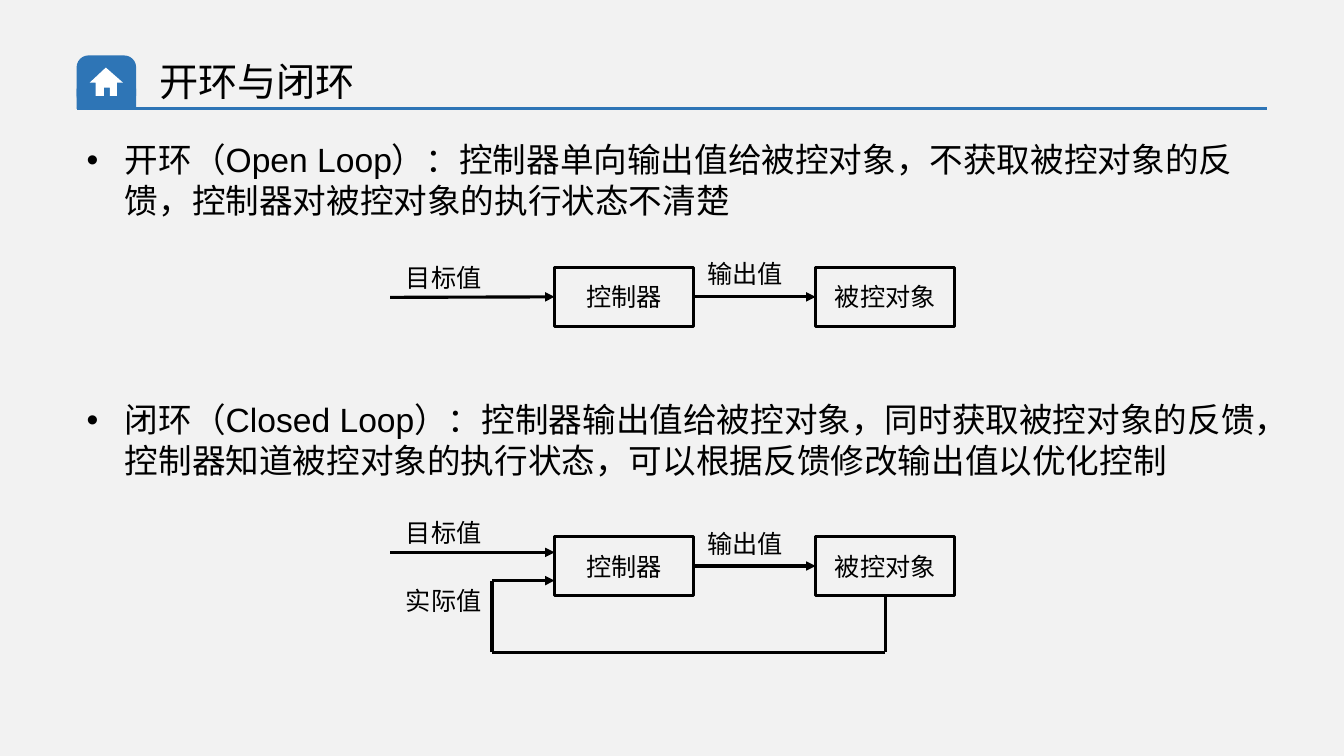
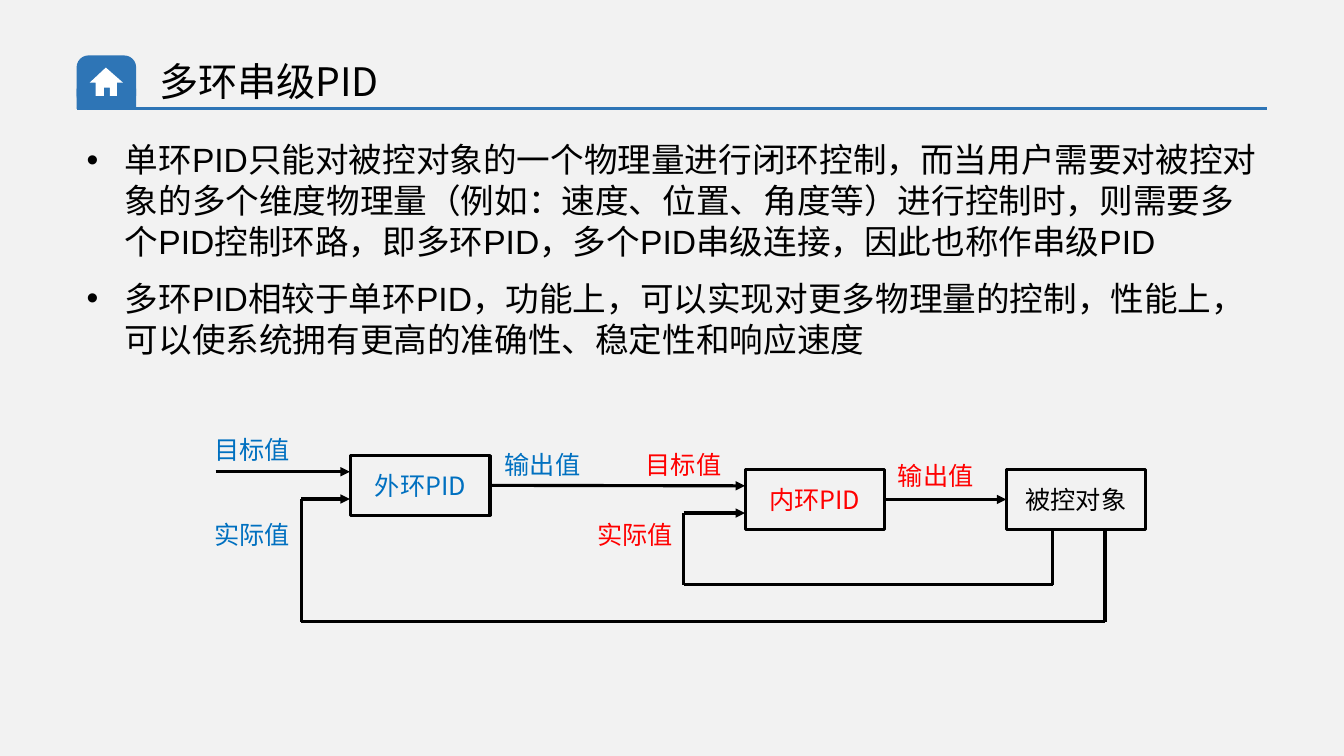
from lxml.etree import SubElement
from pptx import Presentation
from pptx.dml.color import RGBColor
from pptx.enum.shapes import MSO_CONNECTOR, MSO_SHAPE
from pptx.enum.text import MSO_ANCHOR, PP_ALIGN
from pptx.oxml.ns import qn
from pptx.util import Inches, Pt

PAPER = RGBColor(0xF2, 0xF2, 0xF2)
BAND = RGBColor(0x2E, 0x75, 0xB6)
WHITE = RGBColor(0xFF, 0xFF, 0xFF)
BLACK = RGBColor(0, 0, 0)
RED = RGBColor(0xFF, 0, 0)
BLUE = RGBColor(0, 0x70, 0xC0)

LATIN, HAN = "Arial", "Noto Sans CJK SC"
LEFT, WIDTH = 0.76, 11.81
BOX_W, BOX_H = 1.38, 0.59
TAG_W, TAG_H = 1.06, 0.4
RULE_Y, TAB_W = 1.08, 0.59
TOP, SIDE, BOTTOM, RIGHT = range(4)
HOUSE = [(1.16, 0.82), (1.22, 0.82), (1.05, 0.67), (0.89, 0.82),
         (0.95, 0.82), (0.95, 0.95), (1.03, 0.95), (1.03, 0.87),
         (1.09, 0.87), (1.09, 0.95), (1.16, 0.95)]


def pair(y):
    return {"ctrl": ("控制器", 5.5, y, BLACK),
            "plant": ("被控对象", 8.09, y, BLACK)}


# Bullets: top, height, paragraphs
# Boxes: text, left, top, colour; tags: text, left, top, colour
# Wires: points or (box, side) ports, with an arrow or not at the end
SLIDES = [
    {
        "title": "开环与闭环",
        "bullets": [
            (1.33, 0.91, ["开环（Open Loop）：控制器单向输出值给被控对象，不获取被控对象的反馈，控制器对被控对象的执行状态不清楚"]),
            (3.91, 0.91, ["闭环（Closed Loop）：控制器输出值给被控对象，同时获取被控对象的反馈，控制器知道被控对象的执行状态，可以根据反馈修改输出值以优化控制"]),
        ],
        "charts": [
            {
                "boxes": pair(2.65),
                "tags": [("输出值", 6.86, 2.51, BLACK),
                         ("目标值", 3.87, 2.55, BLACK)],
                "wires": [[(3.87, 2.95), ("ctrl", SIDE)],
                          [("ctrl", RIGHT), ("plant", SIDE)]],
            },
            {
                "boxes": pair(5.32),
                "tags": [("输出值", 6.86, 5.19, BLACK),
                         ("目标值", 3.87, 5.08, BLACK),
                         ("实际值", 3.87, 5.76, BLACK)],
                "wires": [[(3.87, 5.48), (5.5, 5.48)],
                          [("ctrl", RIGHT), ("plant", SIDE)],
                          [("plant", BOTTOM), (8.78, 6.47), (4.88, 6.47),
                           (4.88, 5.76), (5.5, 5.76)]],
            },
        ],
    },
    {
        "title": "多环串级PID",
        "bullets": [
            (1.33, 2.29, [
                "单环PID只能对被控对象的一个物理量进行闭环控制，而当用户需要对被控对象的多个维度物理量（例如：速度、位置、角度等）进行控制时，则需要多个PID控制环路，即多环PID，多个PID串级连接，因此也称作串级PID",
                "多环PID相较于单环PID，功能上，可以实现对更多物理量的控制，性能上，可以使系统拥有更高的准确性、稳定性和响应速度",
            ]),
        ],
        "charts": [
            {
                "boxes": {"outer": ("外环PID", 3.48, 4.52, BLUE),
                          "inner": ("内环PID", 7.39, 4.66, RED),
                          "plant": ("被控对象", 9.98, 4.66, BLACK)},
                "tags": [("目标值", 1.97, 4.26, BLUE),
                         ("实际值", 1.97, 5.1, BLUE),
                         ("输出值", 4.85, 4.41, BLUE),
                         ("目标值", 6.25, 4.41, RED),
                         ("实际值", 5.77, 5.1, RED),
                         ("输出值", 8.75, 4.52, RED)],
                "wires": [[(2.14, 4.68), (3.47, 4.68)],
                          [("outer", RIGHT), (7.39, 4.82)],
                          [("inner", RIGHT), ("plant", SIDE)],
                          [(10.44, 5.25), (10.44, 5.8), (6.78, 5.8),
                           (6.78, 5.09), (7.39, 5.09)],
                          [(10.96, 5.25), (10.96, 6.17), (2.99, 6.17),
                           (2.99, 4.95), (3.47, 4.95)]],
            },
        ],
    },
]


def add_run(para, text, size, color, latin):
    run = para.add_run()
    run.text = text
    run.font.size = Pt(size)
    run.font.color.rgb = color
    run.font.name = latin
    SubElement(run._r.get_or_add_rPr(), qn("a:ea"), typeface=HAN)


def add_text(slide, text, x, y, w, h, size, color, latin, align):
    frame = slide.shapes.add_textbox(*map(Inches, (x, y, w, h))).text_frame
    frame.word_wrap = True
    frame.vertical_anchor = MSO_ANCHOR.MIDDLE
    frame.paragraphs[0].alignment = align
    add_run(frame.paragraphs[0], text, size, color, latin)


def add_block(slide, kind, x, y, w, h, fill=None):
    block = slide.shapes.add_shape(kind, *map(Inches, (x, y, w, h)))
    block.shadow.inherit = False
    if fill is None:
        block.fill.background()
        block.line.color.rgb = BLACK
        block.line.width = Pt(2.25)
    else:
        block.fill.solid()
        block.fill.fore_color.rgb = fill
        block.line.fill.background()
    return block


def add_line(slide, start, end, color=BLACK, arrow=False):
    line = slide.shapes.add_connector(
        MSO_CONNECTOR.STRAIGHT, *map(Inches, start + end))
    line.line.color.rgb = color
    line.line.width = Pt(2.25)
    if arrow:
        SubElement(line.line._get_or_add_ln(), qn("a:tailEnd"), type="triangle")
    SubElement(line._element.spPr, qn("a:effectLst"))
    return line


def add_head(slide, title):
    slide.background.fill.solid()
    slide.background.fill.fore_color.rgb = PAPER
    add_text(slide, title, 1.48, 0.52, 9.54, 0.57, 28, BLACK, HAN, PP_ALIGN.LEFT)
    # Tab with a rounded top, standing on the rule
    tab = add_block(slide, MSO_SHAPE.ROUNDED_RECTANGLE, LEFT, 0.55, TAB_W, 0.51, BAND)
    tab.adjustments[0] = 0.23
    add_line(slide, (LEFT, RULE_Y), (LEFT + WIDTH, RULE_Y), BAND)
    add_block(slide, MSO_SHAPE.RECTANGLE, LEFT, 0.88, TAB_W, 0.2, BAND)
    # House icon
    dots = [(Inches(x), Inches(y)) for x, y in HOUSE]
    pen = slide.shapes.build_freeform(*dots[0])
    pen.add_line_segments(dots[1:], close=True)
    house = pen.convert_to_shape()
    house.shadow.inherit = False
    house.fill.solid()
    house.fill.fore_color.rgb = WHITE
    house.line.fill.background()


def add_bullets(slide, y, h, items):
    frame = slide.shapes.add_textbox(*map(Inches, (LEFT, y, WIDTH, h))).text_frame
    frame.word_wrap = True
    for i, item in enumerate(items):
        para = frame.paragraphs[0] if i == 0 else frame.add_paragraph()
        props = para._p.get_or_add_pPr()
        props.set("marL", str(Inches(0.38)))
        props.set("indent", str(-Inches(0.38)))
        SubElement(props, qn("a:buFont"), typeface=LATIN)
        SubElement(props, qn("a:buChar"), char="•")
        para.line_spacing = Pt(29)
        para.space_after = Pt(12)
        add_run(para, item, 24, BLACK, LATIN)


def add_chart(slide, boxes, tags, wires):
    blocks = {}
    for key, (text, x, y, color) in boxes.items():
        block = add_block(slide, MSO_SHAPE.RECTANGLE, x, y, BOX_W, BOX_H)
        block.text_frame.vertical_anchor = MSO_ANCHOR.MIDDLE
        para = block.text_frame.paragraphs[0]
        para.alignment = PP_ALIGN.CENTER
        add_run(para, text, 18, color, HAN)
        blocks[key] = block

    def place(spot):
        if spot[0] not in boxes:
            return spot
        key, side = spot
        _, x, y, _ = boxes[key]
        dx, dy = [(0.5, 0), (0, 0.5), (0.5, 1), (1, 0.5)][side]
        return x + dx * BOX_W, y + dy * BOX_H

    # Each wire is a chain of straight lines, the last with an arrow
    for wire in wires:
        for i, (start, end) in enumerate(zip(wire, wire[1:])):
            line = add_line(slide, place(start), place(end), arrow=i == len(wire) - 2)
            if start[0] in blocks:
                line.begin_connect(blocks[start[0]], start[1])
            if end[0] in blocks:
                line.end_connect(blocks[end[0]], end[1])

    for text, x, y, color in tags:
        add_text(slide, text, x, y, TAG_W, TAG_H, 18, color, LATIN, PP_ALIGN.CENTER)


def main():
    deck = Presentation()
    deck.slide_width, deck.slide_height = Inches(13.33), Inches(7.5)
    for page in SLIDES:
        slide = deck.slides.add_slide(deck.slide_layouts[6])
        add_head(slide, page["title"])
        for group in page["bullets"]:
            add_bullets(slide, *group)
        for chart in page["charts"]:
            add_chart(slide, **chart)
    deck.save("out.pptx")


if __name__ == "__main__":
    main()
